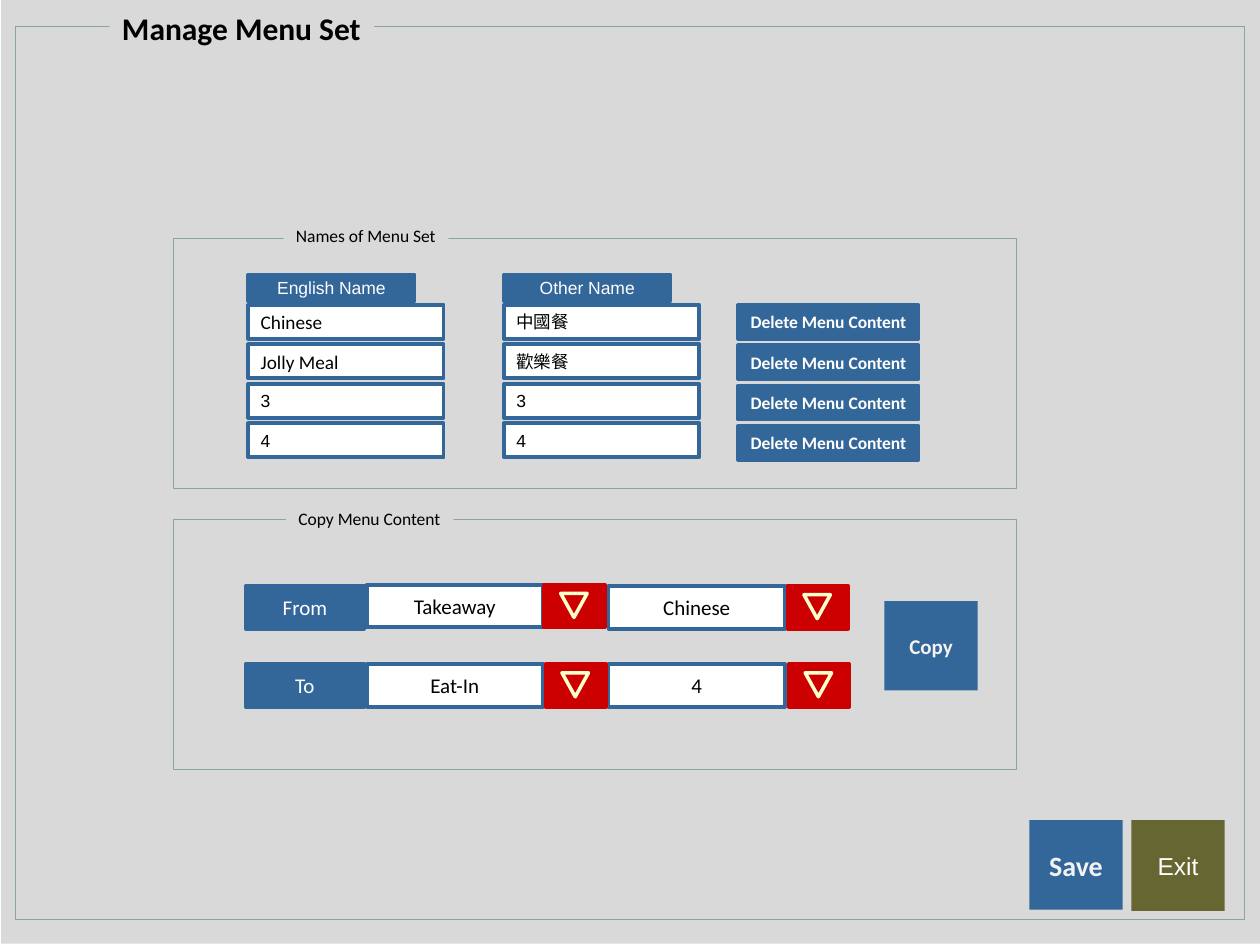
import dataclasses

import pptx
import pptx.dml.color
import pptx.enum.shapes
import pptx.enum.text
import pptx.util

Inches = pptx.util.Inches
SHAPE = pptx.enum.shapes.MSO_SHAPE
ALIGN = pptx.enum.text.PP_ALIGN
ANCHOR = pptx.enum.text.MSO_ANCHOR


@dataclasses.dataclass(frozen=True)
class Theme:
    page: str = "D9D9D9"
    blue: str = "336699"
    olive: str = "666633"
    red: str = "CC0000"
    cream: str = "FFFFCC"
    frame: str = "89A4A7"
    white: str = "FFFFFF"
    pale: str = "F2F2F2"
    black: str = "000000"
    sans: str = "Arial"
    body: str = "Calibri"
    title: int = 18
    save: int = 16
    exit: int = 14
    choice: int = 12
    name: int = 11
    small: int = 10
    border: float = 2.25
    arrow: float = 2
    hairline: float = 0.5


class Screen:
    def __init__(self, slide, theme):
        self.slide = slide
        self.theme = theme

    def color(self, value):
        return pptx.dml.color.RGBColor.from_string(value)

    def shape(self, box, fill=None, line=None, width=0, kind=SHAPE.RECTANGLE, parent=None):
        shapes = (parent or self.slide).shapes
        sp = shapes.add_shape(kind, *[Inches(v) for v in box])
        sp.shadow.inherit = False
        if fill:
            sp.fill.solid()
            sp.fill.fore_color.rgb = self.color(fill)
        else:
            sp.fill.background()
        if line:
            sp.line.color.rgb = self.color(line)
            sp.line.width = pptx.util.Pt(width)
        else:
            sp.line.fill.background()
        return sp

    def text(self, sp, words, size, color, font=None, bold=False,
             align=ALIGN.CENTER, anchor=ANCHOR.MIDDLE, wrap=False):
        tf = sp.text_frame
        tf.word_wrap = wrap
        tf.vertical_anchor = anchor
        p = tf.paragraphs[0]
        p.alignment = align
        r = p.add_run()
        r.text = words
        r.font.size = pptx.util.Pt(size)
        r.font.name = font or self.theme.body
        r.font.bold = bold
        r.font.color.rgb = self.color(color)

    def panel(self, box, caption_box, caption, size, bold=False):
        t = self.theme
        self.shape(box, line=t.frame, width=t.hairline)
        sp = self.shape(caption_box, t.page)
        self.text(sp, caption, size, t.black, bold=bold, align=ALIGN.LEFT, anchor=ANCHOR.TOP)
        sp.text_frame.auto_size = pptx.enum.text.MSO_AUTO_SIZE.SHAPE_TO_FIT_TEXT

    def button(self, box, words, size, fill, color, font=None, bold=True):
        self.text(self.shape(box, fill), words, size, color, font, bold)

    def label(self, box, words, size, font=None, bold=False):
        t = self.theme
        sp = self.shape(box, t.blue, t.blue, t.border)
        self.text(sp, words, size, t.white, font, bold)

    def field(self, box, words, size, font=None, align=ALIGN.LEFT):
        t = self.theme
        sp = self.shape(box, t.white, t.blue, t.border)
        self.text(sp, words, size, t.black, font, align=align, wrap=True)

    def dropdown(self, x, y, arrow_x, words):
        t = self.theme
        self.field((x, y, 1.4, 0.34), words, t.choice, align=ALIGN.CENTER)
        group = self.slide.shapes.add_group_shape()
        self.shape((arrow_x, y, 0.48, 0.34), t.red, t.red, t.border, parent=group)
        sp = self.shape((arrow_x + 0.13, y + 0.07, 0.21, 0.19), t.red, t.cream,
                        t.arrow, SHAPE.ISOSCELES_TRIANGLE, group)
        sp.rotation = 180


def main():
    prs = pptx.Presentation()
    prs.slide_width, prs.slide_height = Inches(10), Inches(7.5)
    t = Theme()
    s = Screen(prs.slides.add_slide(prs.slide_layouts[6]), t)

    s.shape((0.01, -0.01, 10, 7.5), t.page)
    s.button((8.98, 6.51, 0.74, 0.72), "Exit", t.exit, t.olive, t.white, t.sans, False)
    s.panel((0.12, 0.21, 9.76, 7.09), (0.87, 0.02, 2.1, 0.4), "Manage Menu Set", t.title, True)
    s.button((8.17, 6.51, 0.74, 0.71), "Save", t.save, t.blue, t.pale)

    s.panel((1.38, 1.89, 6.69, 1.99), (2.25, 1.74, 1.31, 0.27), "Names of Menu Set", t.small)
    english_x, other_x, names_y = 1.97, 4, 2.42
    for x, heading in ((english_x, "English Name"), (other_x, "Other Name")):
        s.label((x, 2.18, 1.32, 0.21), heading, t.small, t.sans)
    names = (
        ("Chinese", t.name, t.body, "中國餐"),
        ("Jolly Meal", t.name, t.body, "歡樂餐"),
        ("3", t.small, t.sans, "3"),
        ("4", t.small, t.sans, "4"),
    )
    for row, (english, size, font, other) in enumerate(names):
        y = names_y + row * 0.313
        s.field((english_x, y, 1.55, 0.27), english, size, font)
        s.field((other_x, y, 1.55, 0.27), other, t.small, t.sans)
        s.label((5.86, names_y + row * 0.32, 1.43, 0.27), "Delete Menu Content",
                t.small, bold=True)

    s.panel((1.38, 4.12, 6.69, 1.99), (2.27, 3.98, 1.33, 0.27), "Copy Menu Content", t.small)
    copy_rows = (
        ("From", 4.65, 4.64, "Takeaway", 4.32, "Chinese", 6.25),
        ("To", 5.27, 5.27, "Eat-In", 4.33, "4", 6.26),
    )
    for label, y, service_y, service, service_arrow, menu, menu_arrow in copy_rows:
        s.label((1.95, y, 0.94, 0.34), label, t.choice)
        s.dropdown(4.83, y, menu_arrow, menu)
        s.dropdown(2.91, service_y, service_arrow, service)
    s.button((7.02, 4.77, 0.74, 0.71), "Copy", t.choice, t.blue, t.pale)

    prs.save("out.pptx")


if __name__ == "__main__":
    main()
